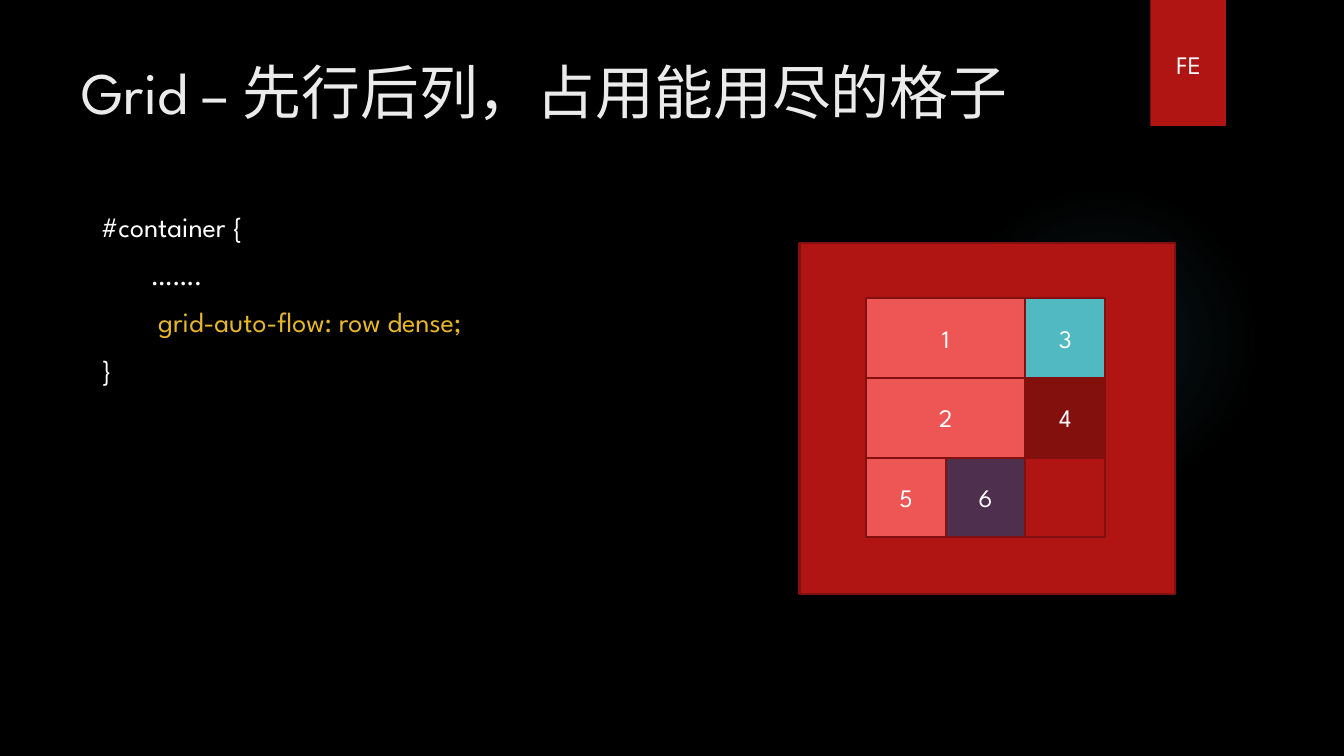
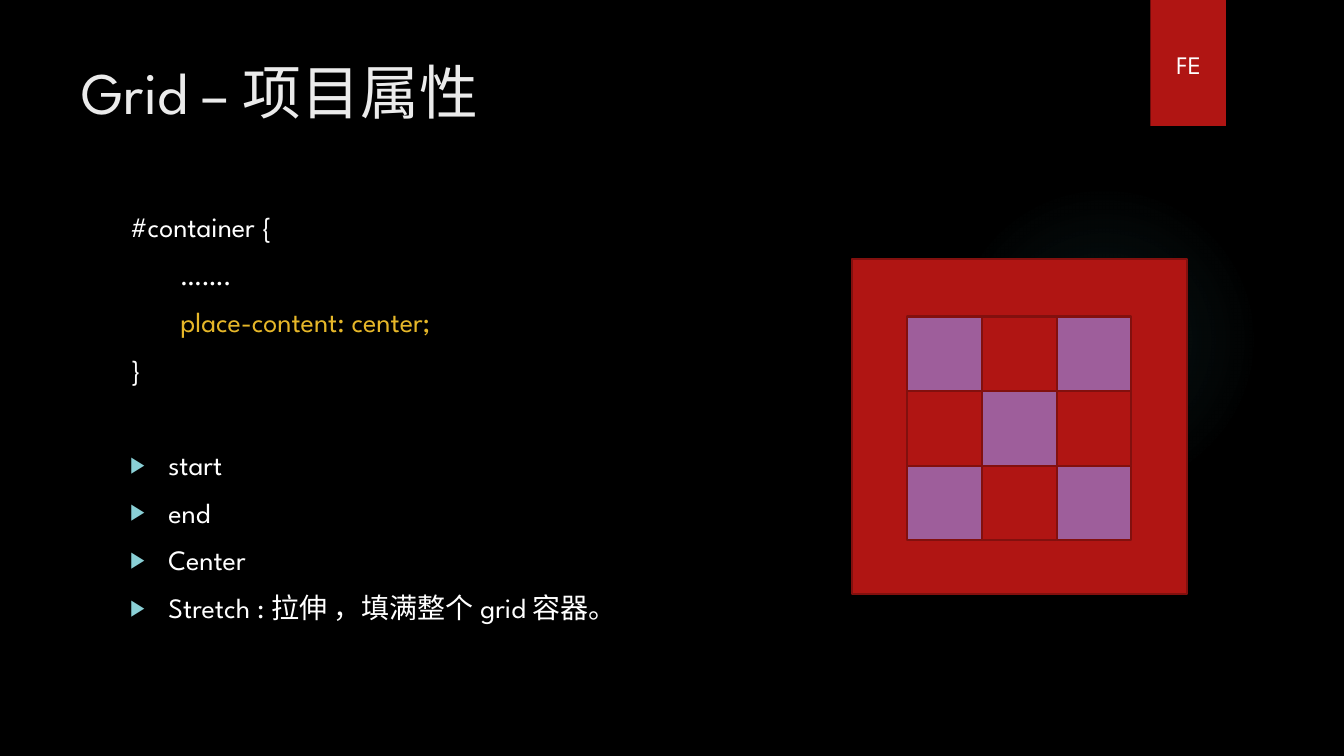
import dataclasses

import lxml.etree
import pptx
import pptx.dml.color
import pptx.enum.shapes
import pptx.enum.text
import pptx.oxml
import pptx.oxml.ns
import pptx.util
from pptx.util import Inches

RECTANGLE = pptx.enum.shapes.MSO_SHAPE.RECTANGLE
OVAL = pptx.enum.shapes.MSO_SHAPE.OVAL
ALIGN = pptx.enum.text.PP_ALIGN
ANCHOR = pptx.enum.text.MSO_ANCHOR
NO_FIT = pptx.enum.text.MSO_AUTO_SIZE.NONE
qn = pptx.oxml.ns.qn


@dataclasses.dataclass(frozen=True)
class Theme:
    font: str = "League Spartan"
    background: str = "000000"
    title: str = "EBEBEB"
    text: str = "FFFFFF"
    highlight: str = "E6B729"
    red: str = "B01513"
    dark_red: str = "84100E"
    outline: str = "82100E"
    coral: str = "ED5654"
    teal: str = "50B9C1"
    plum: str = "4F2F4E"
    purple: str = "9E5E9B"
    bullet: str = "8AD0D6"
    title_size: int = 42
    body_size: int = 20
    label_size: int = 18
    line_gap: int = 10
    list_gap: int = 44
    outline_width: float = 1.5


THEME = Theme()


def rgb(color):
    return pptx.dml.color.RGBColor.from_string(color)


def format_runs(paragraph, size, color):
    for run in paragraph.runs:
        run.font.name = THEME.font
        run.font.size = pptx.util.Pt(size)
        run.font.color.rgb = rgb(color)


def move(part, box):
    part.left, part.top, part.width, part.height = map(Inches, box)


def add_flat_shape(slide, kind, box, fill=None, outlined=False):
    shape = slide.shapes.add_shape(kind, *map(Inches, box))
    shape.shadow.inherit = False
    if fill:
        shape.fill.solid()
        shape.fill.fore_color.rgb = rgb(fill)
    else:
        shape.fill.background()
    if outlined:
        shape.line.color.rgb = rgb(THEME.outline)
        shape.line.width = pptx.util.Pt(THEME.outline_width)
    else:
        shape.line.fill.background()
    return shape


# Shared backdrop: glow and red tab
def add_glow(slide, box):
    glow = add_flat_shape(slide, OVAL, box)
    properties = glow.fill._xPr
    stops = "".join(
        f'<a:gs pos="{position * 1000}"><a:srgbClr val="{THEME.teal}">'
        f'<a:alpha val="{alpha * 1000}"/></a:srgbClr></a:gs>'
        for position, alpha in ((0, 7), (36, 6), (69, 0))
    )
    gradient = pptx.oxml.parse_xml(
        f'<a:gradFill {pptx.oxml.ns.nsdecls("a")}><a:gsLst>{stops}</a:gsLst>'
        '<a:path path="circle"><a:fillToRect l="50000" t="50000" '
        'r="50000" b="50000"/></a:path></a:gradFill>'
    )
    properties.replace(properties.find(qn("a:noFill")), gradient)


def add_tab(slide, box):
    left, top, width, height = box
    add_flat_shape(slide, RECTANGLE, box, THEME.red)
    label = slide.shapes.add_textbox(
        *map(Inches, (left + 0.15, top + 0.44, width - 0.29, height - 0.85)))
    label.text_frame.word_wrap = False
    label.text_frame.text = "FE"
    paragraph = label.text_frame.paragraphs[0]
    paragraph.alignment = ALIGN.CENTER
    format_runs(paragraph, THEME.label_size, THEME.text)


# Title and body text
def fill_title(slide, text, box):
    title = slide.shapes.title
    move(title, box)
    frame = title.text_frame
    frame.text = text
    frame.auto_size = NO_FIT
    frame.vertical_anchor = ANCHOR.TOP
    frame.paragraphs[0].alignment = ALIGN.LEFT
    format_runs(frame.paragraphs[0], THEME.title_size, THEME.title)


def set_bullet(paragraph, bulleted):
    properties = paragraph._p.get_or_add_pPr()
    indent = Inches(0.38) if bulleted else 0
    properties.set("marL", str(indent))
    properties.set("indent", str(-indent))
    if not bulleted:
        lxml.etree.SubElement(properties, qn("a:buNone"))
        return
    color = lxml.etree.SubElement(properties, qn("a:buClr"))
    lxml.etree.SubElement(color, qn("a:srgbClr"), val=THEME.bullet)
    lxml.etree.SubElement(properties, qn("a:buSzPct"), val="80000")
    lxml.etree.SubElement(properties, qn("a:buFont"), typeface="Arial")
    lxml.etree.SubElement(properties, qn("a:buChar"), char="▶")


def fill_body(slide, rule, values, box):
    body = slide.placeholders[1]
    move(body, box)
    frame = body.text_frame
    code = ["#container {", "\t…….", "\t" + rule, "}"]
    frame.text = "\n".join(code + values)
    frame.auto_size = NO_FIT
    frame.vertical_anchor = ANCHOR.TOP
    for index, paragraph in enumerate(frame.paragraphs):
        starts_list = index == len(code)
        gap = THEME.list_gap if starts_list else THEME.line_gap
        paragraph.space_before = pptx.util.Pt(gap)
        set_bullet(paragraph, index >= len(code))
        color = THEME.highlight if index == 2 else THEME.text
        format_runs(paragraph, THEME.body_size, color)


# Grid diagram: items are (column, row, span, label, fill)
def add_grid(slide, box, inset, cell, items):
    add_flat_shape(slide, RECTANGLE, box, THEME.red, outlined=True)
    left, top = box[0] + inset[0], box[1] + inset[1]
    for column, row, span, label, fill in items:
        place = (left + column * cell, top + row * cell, span * cell, cell)
        item = add_flat_shape(slide, RECTANGLE, place, fill, outlined=True)
        if label:
            item.text_frame.text = label
            item.text_frame.vertical_anchor = ANCHOR.MIDDLE
            paragraph = item.text_frame.paragraphs[0]
            paragraph.alignment = ALIGN.CENTER
            format_runs(paragraph, THEME.label_size, THEME.text)


def add_grid_slide(deck, title, rule, values, body_box, grid):
    slide = deck.slides.add_slide(deck.slide_layouts[1])
    add_glow(slide, (9.41, 1.83, 3.08, 3.08))
    add_tab(slide, (11.41, 0, 0.75, 1.25))
    fill_title(slide, title, (0.71, 0.5, 10.29, 1.53))
    fill_body(slide, rule, values, body_box)
    add_grid(slide, **grid)


deck = pptx.Presentation()
deck.slide_width, deck.slide_height = Inches(13.33), Inches(7.5)
deck.slide_master.background.fill.solid()
deck.slide_master.background.fill.fore_color.rgb = rgb(THEME.background)

# Dense row flow
dense_items = [
    (0, 0, 2, "1", THEME.coral),
    (0, 1, 2, "2", THEME.coral),
    (2, 0, 1, "3", THEME.teal),
    (2, 1, 1, "4", THEME.dark_red),
    (0, 2, 1, "5", THEME.coral),
    (1, 2, 1, "6", THEME.plum),
    (2, 2, 1, "", None),
]
add_grid_slide(
    deck, "Grid – 先行后列，占用能用尽的格子",
    " grid-auto-flow: row dense;", [], (0.9, 2.03, 6.13, 4.59),
    dict(box=(7.93, 2.41, 3.72, 3.48), inset=(0.66, 0.55), cell=0.79,
         items=dense_items))

# Item properties, with a checkerboard of cells
checker_items = [
    (column, row, 1, "", None if (column + row) % 2 else THEME.purple)
    for column in range(3) for row in range(3)
]
add_grid_slide(
    deck, "Grid – 项目属性", "place-content:\u00a0center;",
    ["start", "end", "Center", "Stretch : 拉伸 ，填满整个 grid 容器。"],
    (1.19, 2.03, 7.04, 4.59),
    dict(box=(8.45, 2.57, 3.32, 3.32), inset=(0.55, 0.57), cell=0.74,
         items=checker_items))

deck.save("out.pptx")
